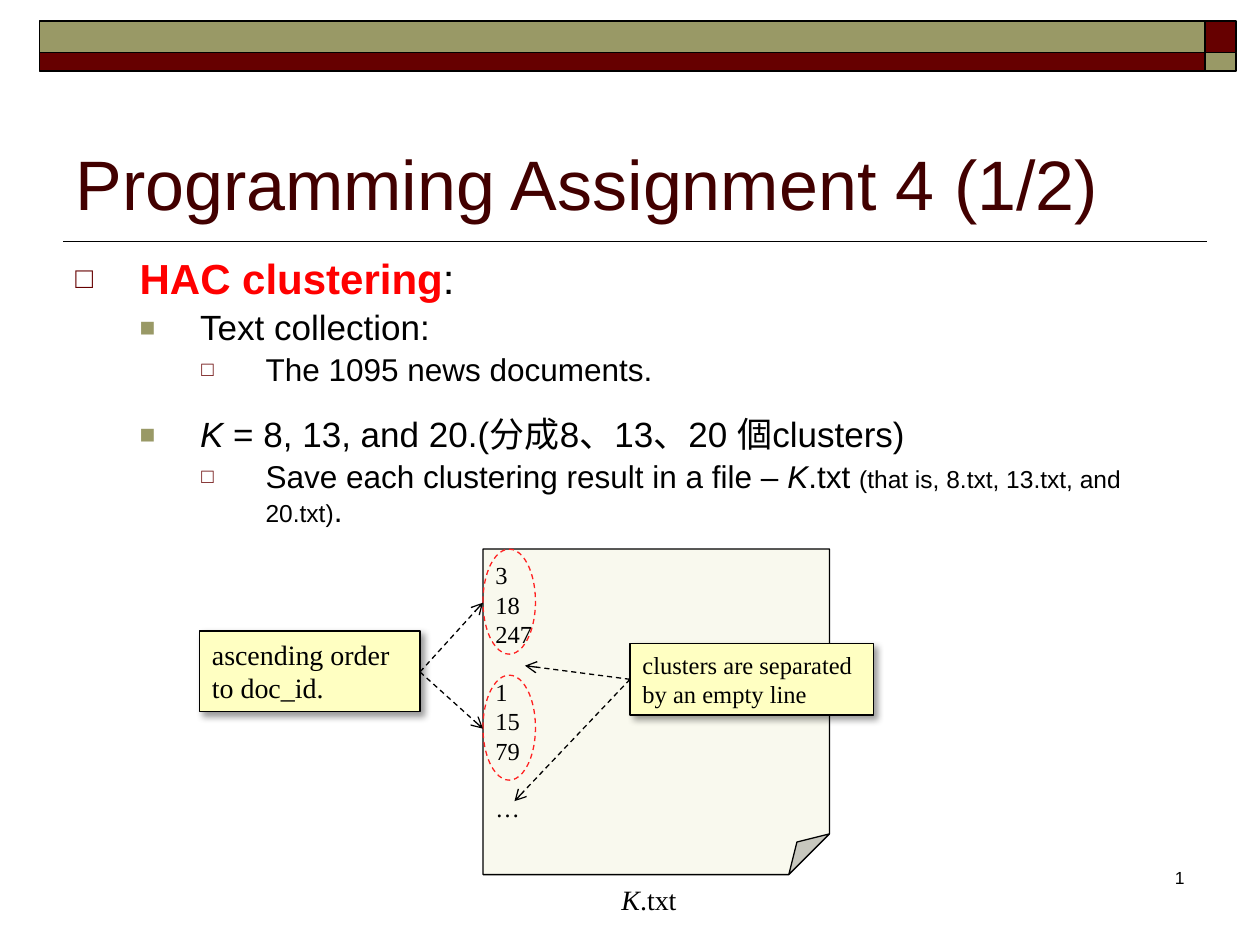
from dataclasses import dataclass

from lxml import etree
from pptx import Presentation
from pptx.dml.color import RGBColor
from pptx.enum.dml import MSO_LINE
from pptx.enum.shapes import MSO_CONNECTOR, MSO_SHAPE
from pptx.enum.text import MSO_ANCHOR, PP_ALIGN
from pptx.oxml import parse_xml
from pptx.oxml.ns import nsdecls, qn
from pptx.util import Inches, Pt

RECT, OVAL, NOTE = MSO_SHAPE.RECTANGLE, MSO_SHAPE.OVAL, MSO_SHAPE.FOLDED_CORNER
STRAIGHT, DASH = MSO_CONNECTOR.STRAIGHT, MSO_LINE.DASH
TOP, MIDDLE, BOTTOM = MSO_ANCHOR.TOP, MSO_ANCHOR.MIDDLE, MSO_ANCHOR.BOTTOM
LEFT, RIGHT = PP_ALIGN.LEFT, PP_ALIGN.RIGHT


@dataclass(frozen=True)
class Theme:
    sans: str = "Arial"
    serif: str = "Times New Roman"
    black: str = "000000"
    maroon: str = "660000"
    olive: str = "999966"
    title: str = "420000"
    accent: str = "FF0000"
    ring: str = "FF2121"
    paper: str = "F9F9EE"
    callout: str = "FFFFC2"
    title_size: int = 40
    level_sizes: tuple = (24, 20, 18)
    label_size: int = 16
    small_size: int = 14
    number_size: int = 10


T = Theme()

# Per outline level: indent, hanging part, bullet, bullet colour, bullet percent
LEVELS = (
    (0.51, 0.51, "□", T.maroon, 70),
    (0.99, 0.48, "■", T.olive, 75),
    (1.51, 0.51, "□", T.maroon, 65),
)


def grid(*cells):
    """The slide is a grid of 120 columns by 90 rows, with square cells."""
    return [Inches(c / 12) for c in cells]


def rgb(color):
    return RGBColor.from_string(color)


def style(r, size, font=T.sans, color=T.black, bold=False, italic=False):
    r.font.size, r.font.name = Pt(size), font
    r.font.color.rgb = rgb(color)
    r.font.bold, r.font.italic = bold, italic


def add_run(p, text, *args, **kwargs):
    r = p.add_run()
    r.text = text
    style(r, *args, **kwargs)


def add_text(s, box):
    tf = s.shapes.add_textbox(*grid(*box)).text_frame
    tf.word_wrap = True
    return tf


def write_lines(tf, lines, size, gaps=()):
    """One paragraph a line; lines listed in gaps get an empty line's space."""
    tf.word_wrap = True
    tf.text = "\n".join(lines)
    for i, p in enumerate(tf.paragraphs):
        p.alignment = LEFT
        if i in gaps:
            p.space_before = Pt(size * 1.15)
        for r in p.runs:
            style(r, size, T.serif)


def add_box(s, kind, box, fill=None, line=T.black, width=0.75, dash=None):
    sp = s.shapes.add_shape(kind, *grid(*box))
    sp.shadow.inherit = False
    if fill:
        sp.fill.solid()
        sp.fill.fore_color.rgb = rgb(fill)
    else:
        sp.fill.background()
    sp.line.color.rgb, sp.line.width = rgb(line), Pt(width)
    if dash:
        sp.line.dash_style = dash
    return sp


def add_line(s, start, end, width=0.75, arrow=False):
    c = s.shapes.add_connector(STRAIGHT, *grid(*start, *end))
    c.line.color.rgb, c.line.width = rgb(T.black), Pt(width)
    spPr = c._element.spPr
    if arrow:
        c.line.dash_style = DASH
        etree.SubElement(spPr.find(qn("a:ln")), qn("a:tailEnd"), type="arrow")
    etree.SubElement(spPr, qn("a:effectLst"))


def add_callout(s, box, lines, size, origin, targets):
    sp = add_box(s, RECT, box, T.callout)
    effects = sp._element.spPr.find(qn("a:effectLst"))
    effects.append(parse_xml(
        f'<a:outerShdw {nsdecls("a")} blurRad="{Pt(4)}" dist="{Pt(3)}" '
        f'dir="2700000" algn="tl" rotWithShape="0"><a:srgbClr val="{T.black}">'
        '<a:alpha val="40000"/></a:srgbClr></a:outerShdw>'))
    sp.text_frame.vertical_anchor = TOP
    write_lines(sp.text_frame, lines, size)
    for target in targets:
        add_line(s, origin, target, arrow=True)


def add_item(p, level, runs, gap=0):
    """Bulleted paragraph; each run is its text and its own formatting."""
    indent, hang, char, color, percent = LEVELS[level]
    size = T.level_sizes[level]
    p.level, p.line_spacing = level, 0.9
    p.space_before = Pt(size * 0.2 + gap)
    pPr = p._p.get_or_add_pPr()
    pPr.set("marL", str(Inches(indent)))
    pPr.set("indent", str(-Inches(hang)))
    bullet_color = etree.SubElement(pPr, qn("a:buClr"))
    etree.SubElement(bullet_color, qn("a:srgbClr"), val=color)
    etree.SubElement(pPr, qn("a:buSzPct"), val=str(percent * 1000))
    etree.SubElement(pPr, qn("a:buFont"), typeface=T.sans)
    etree.SubElement(pPr, qn("a:buChar"), char=char)
    for text, fmt in runs:
        add_run(p, text, **{"size": size, **fmt})


def add_banner(s):
    for row, height, colors in ((2, 3, (T.olive, T.maroon)),
                                (5, 1.8, (T.maroon, T.olive))):
        for col, width, color in zip((3.75, 114.75), (111, 3), colors):
            add_box(s, RECT, (col, row, width, height), color, width=1)
    add_line(s, (6, 23), (115, 23), width=1)


def add_title(s, text):
    title = s.shapes.title
    title.left, title.top, title.width, title.height = grid(6, 7, 108, 15)
    tf = title.text_frame
    tf.text, tf.vertical_anchor = text, BOTTOM
    p = tf.paragraphs[0]
    p.alignment = LEFT
    style(p.runs[0], T.title_size, color=T.title)


def add_outline(s):
    italic, small = {"italic": True}, {"size": T.small_size}
    items = (
        (0, [("HAC clustering", {"color": T.accent, "bold": True}), (":", {})]),
        (1, [("Text collection:", {})]),
        (2, [("The 1095 news documents.", {})]),
        (1, [("K ", italic),
             ("= 8, 13, and 20.(分成8、13、20 個clusters)", {})], 12.4),
        (2, [("Save each clustering result in a file – ", {}), ("K", italic),
             (".txt ", {}), ("(that is, 8.txt, 13.txt, and 20.txt)", small),
             (".", {})]),
    )
    tf = add_text(s, (6, 24, 108, 62))
    for i, item in enumerate(items):
        add_item(tf.add_paragraph() if i else tf.paragraphs[0], *item)


def add_file_diagram(s):
    # Result file with a small folded corner, and its name
    note = add_box(s, NOTE, (46, 52.3, 33, 31), T.paper)
    guides = note._element.spPr.find(qn("a:prstGeom")).get_or_add_avLst()
    for guide in list(guides):
        guides.remove(guide)
    etree.SubElement(guides, qn("a:gd"), name="adj", fmla="val 12500")
    note.text_frame.vertical_anchor = MIDDLE
    write_lines(note.text_frame, ("3", "18", "247", "1", "15", "79", "…"),
                T.small_size, gaps=(3, 6))
    p = add_text(s, (58, 83.5, 8, 4.4)).paragraphs[0]
    add_run(p, "K", T.label_size, T.serif, italic=True)
    add_run(p, ".txt", T.label_size, T.serif)

    # Rings around the clusters
    for row in (52.3, 64.3):
        add_box(s, OVAL, (46, row, 5, 10), line=T.ring, dash=DASH)

    # Callouts with their arrows
    add_callout(s, (60, 61.3, 23.2, 6.8),
                ("clusters are separated ", "by an empty line"), T.small_size,
                (60, 64.7), ((50, 63.4), (49, 76.3)))
    add_callout(s, (19, 60.1, 21, 7.7), ("ascending order ", "to doc_id."),
                T.label_size, (40, 64), ((46, 57.4), (46, 69.4)))


def main():
    prs = Presentation()
    prs.slide_width, prs.slide_height = grid(120, 90)
    s = prs.slides.add_slide(prs.slide_layouts[5])
    add_banner(s)
    add_title(s, "Programming Assignment 4 (1/2)")
    add_outline(s)
    add_file_diagram(s)
    # Slide number
    p = add_text(s, (89, 82, 25, 6)).paragraphs[0]
    p.alignment = RIGHT
    add_run(p, "1", T.number_size)
    prs.save("out.pptx")


main()
